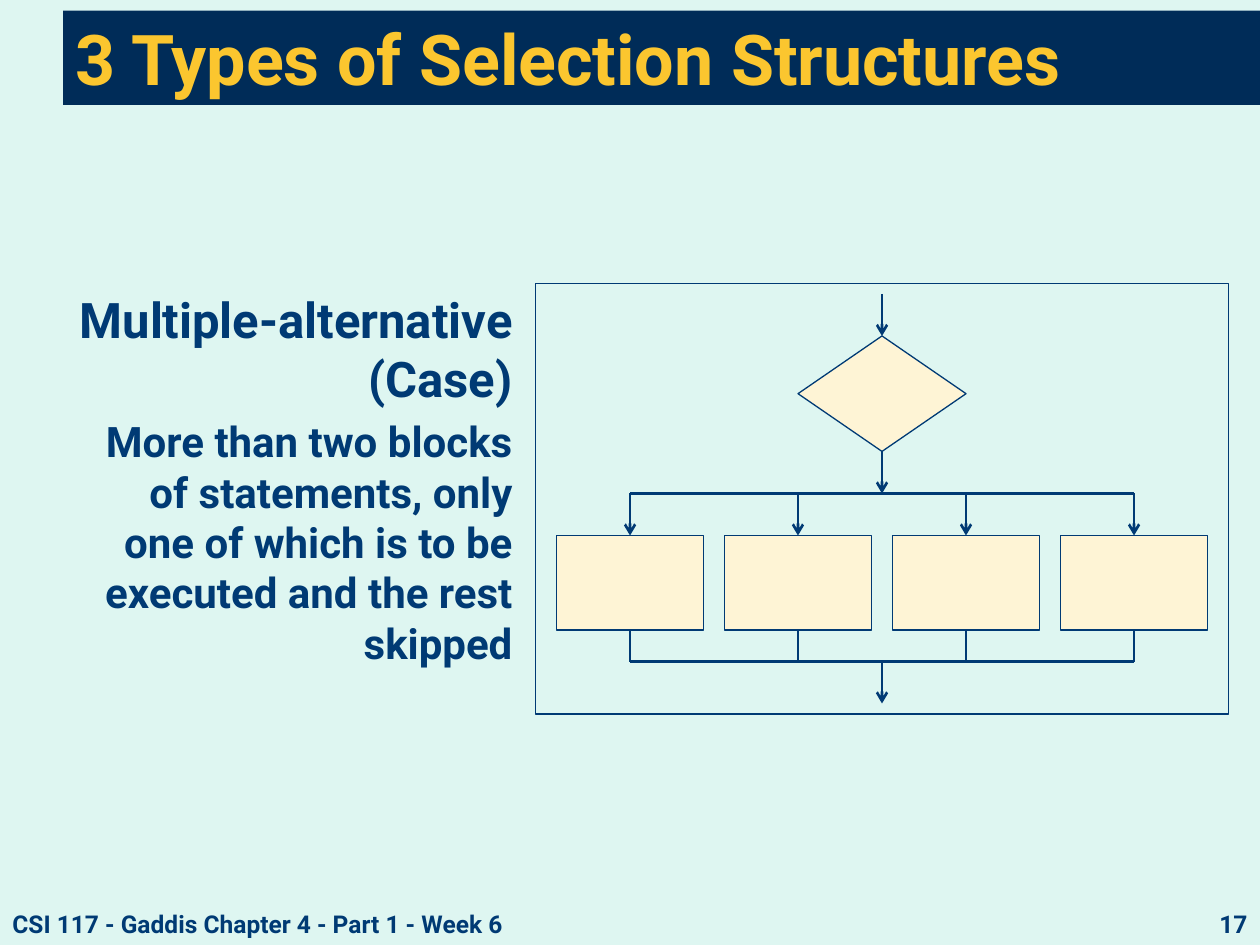
"""Build a slide on the multiple-alternative selection structure."""
from dataclasses import dataclass
from typing import Optional

import pptx
import pptx.dml.color
import pptx.enum.shapes
import pptx.enum.text
import pptx.oxml
import pptx.oxml.ns
import pptx.util

SHAPE = pptx.enum.shapes.MSO_SHAPE
ALIGN = pptx.enum.text.PP_ALIGN
ANCHOR = pptx.enum.text.MSO_ANCHOR
COLS, ROWS = 120, 90
TOP, BOTTOM = 0, 2


@dataclass(frozen=True)
class Theme:
    font: str = "Roboto"
    background: str = "DEF6F1"
    banner: str = "002C58"
    heading: str = "FBC62F"
    ink: str = "003A74"
    block: str = "FEF4D5"
    title_size: int = 40
    topic_size: int = 28
    detail_size: int = 24
    footer_size: int = 14
    outline: float = 0.75
    flow: float = 1.5


@dataclass(frozen=True)
class Cell:
    col: float
    row: float
    cols: float
    rows: float


@dataclass(frozen=True)
class Para:
    text: str
    size: int
    align: ALIGN = ALIGN.LEFT
    color: str = Theme.ink
    before: float = 0
    indent: float = 0


@dataclass(frozen=True)
class Flow:
    col: float
    start: float
    end: float
    arrow: bool = True
    end_col: Optional[float] = None


THEME = Theme()
prs = pptx.Presentation()
prs.slide_width = pptx.util.Inches(10)
prs.slide_height = pptx.util.Inches(7.5)


def x(col: float) -> int:
    """Convert grid columns to a length."""
    return round(prs.slide_width * col / COLS)


def y(row: float) -> int:
    """Convert grid rows to a length."""
    return round(prs.slide_height * row / ROWS)


def rgb(value: str):
    """Return a colour object."""
    return pptx.dml.color.RGBColor.from_string(value)


def box(cell: Cell) -> tuple:
    """Return left, top, width and height of a cell."""
    return x(cell.col), y(cell.row), x(cell.cols), y(cell.rows)


def write(tf, paras: list) -> None:
    """Fill a text frame with formatted paragraphs."""
    tf.word_wrap = True
    tf.auto_size = pptx.enum.text.MSO_AUTO_SIZE.NONE
    tf.text = "\n".join(para.text for para in paras)
    for p, para in zip(tf.paragraphs, paras):
        p.alignment = para.align
        p.space_before = pptx.util.Pt(para.before)
        if para.indent:
            p.level = 1
            pPr = p._p.get_or_add_pPr()
            pPr.set("marL", str(x(para.indent)))
            pPr.set("indent", "0")
        for r in p.runs:
            r.font.name = THEME.font
            r.font.size = pptx.util.Pt(para.size)
            r.font.bold = True
            r.font.color.rgb = rgb(para.color)


def add_text(s, cell: Cell, paras: list) -> None:
    """Add a text box."""
    write(s.shapes.add_textbox(*box(cell)).text_frame, paras)


def add_block(group, kind: SHAPE, cell: Cell, fill: str):
    """Add an outlined shape to the flowchart."""
    sp = group.shapes.add_shape(kind, *box(cell))
    sp.shadow.inherit = False
    sp.fill.solid()
    sp.fill.fore_color.rgb = rgb(fill)
    sp.line.color.rgb = rgb(THEME.ink)
    sp.line.width = pptx.util.Pt(THEME.outline)
    return sp


def add_flow(group, flow: Flow, source=None, target=None) -> None:
    """Add a flow line, joined to its source and target blocks."""
    end_col = flow.col if flow.end_col is None else flow.end_col
    line = group.shapes.add_connector(
        pptx.enum.shapes.MSO_CONNECTOR.STRAIGHT,
        x(flow.col), y(flow.start), x(end_col), y(flow.end))
    line.line.color.rgb = rgb(THEME.ink)
    line.line.width = pptx.util.Pt(THEME.flow)
    if flow.arrow:
        ln = line.line._get_or_add_ln()
        tail = pptx.oxml.parse_xml(
            f'<a:tailEnd {pptx.oxml.ns.nsdecls("a")} type="arrow"/>')
        ln.append(tail)
    line._element.spPr.append(pptx.oxml.parse_xml(
        f'<a:effectLst {pptx.oxml.ns.nsdecls("a")}/>'))
    if source is not None:
        line.begin_connect(source, BOTTOM)
    if target is not None:
        line.end_connect(target, TOP)


def add_flowchart(s) -> None:
    """Draw one decision that leads to four alternative blocks."""
    group = s.shapes.add_group_shape()
    middle, split, merge = 84, 47, 63
    block_top, block_cols, block_rows = 51, 14, 9
    block_bottom = block_top + block_rows
    centres = [60 + 16 * i for i in range(4)]
    add_block(group, SHAPE.RECTANGLE, Cell(51, 27, 66, 41), THEME.background)
    for row in (merge, split):
        add_flow(group, Flow(centres[0], row, row, False, centres[-1]))
    for centre in centres:
        cell = Cell(centre - block_cols / 2, block_top, block_cols, block_rows)
        sp = add_block(group, SHAPE.RECTANGLE, cell, THEME.block)
        add_flow(group, Flow(centre, block_bottom, merge, False), source=sp)
        add_flow(group, Flow(centre, split, block_top), target=sp)
    decision = add_block(group, SHAPE.FLOWCHART_DECISION,
                         Cell(middle - 8, 32, 16, 11), THEME.block)
    add_flow(group, Flow(middle, 43, split), source=decision)
    add_flow(group, Flow(middle, 28, 32), target=decision)
    add_flow(group, Flow(middle, merge, 67))


def main() -> None:
    """Build and save the slide."""
    s = prs.slides.add_slide(prs.slide_layouts[5])
    s.background.fill.solid()
    s.background.fill.fore_color.rgb = rgb(THEME.background)
    title = s.shapes.title
    title.left, title.top, title.width, title.height = box(Cell(6, 1, 114, 9))
    title.fill.solid()
    title.fill.fore_color.rgb = rgb(THEME.banner)
    title.text_frame.vertical_anchor = ANCHOR.MIDDLE
    write(title.text_frame, [Para("3 Types of Selection Structures",
                                  THEME.title_size, color=THEME.heading)])
    add_text(s, Cell(0, 86, 69, 4), [
        Para("CSI 117 - Gaddis Chapter 4 - Part 1 - Week 6", THEME.footer_size)])
    add_text(s, Cell(92, 86, 28, 3.4), [
        Para("17", THEME.footer_size, ALIGN.RIGHT)])
    add_flowchart(s)
    add_text(s, Cell(2, 27, 48, 44), [
        Para("Multiple-alternative (Case)", THEME.topic_size, ALIGN.RIGHT,
             before=0.2 * THEME.topic_size),
        Para("More than two blocks of statements, only one of which is to be "
             "executed and the rest skipped", THEME.detail_size, ALIGN.RIGHT,
             before=0.2 * THEME.detail_size, indent=6)])
    prs.save("out.pptx")


if __name__ == "__main__":
    main()
